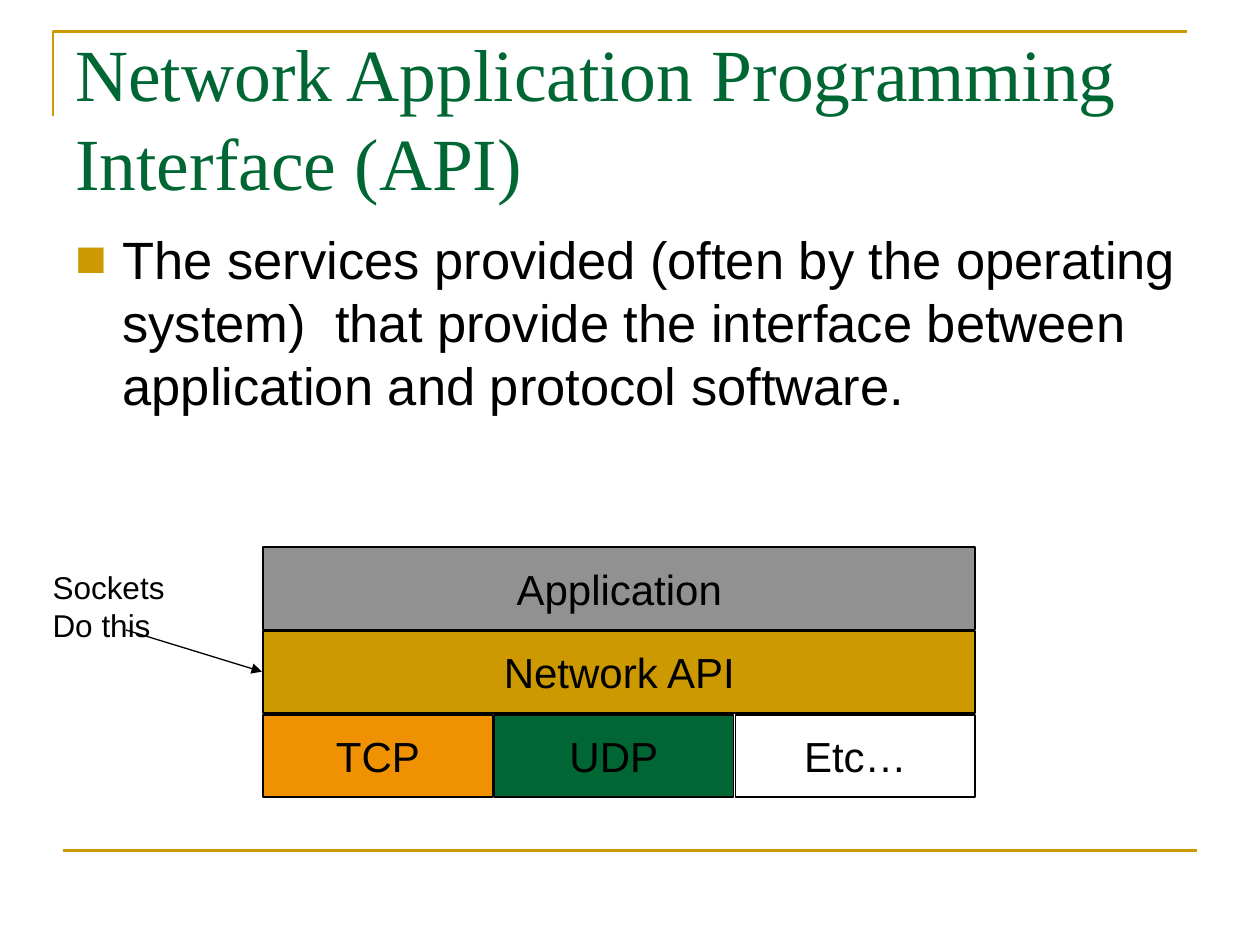
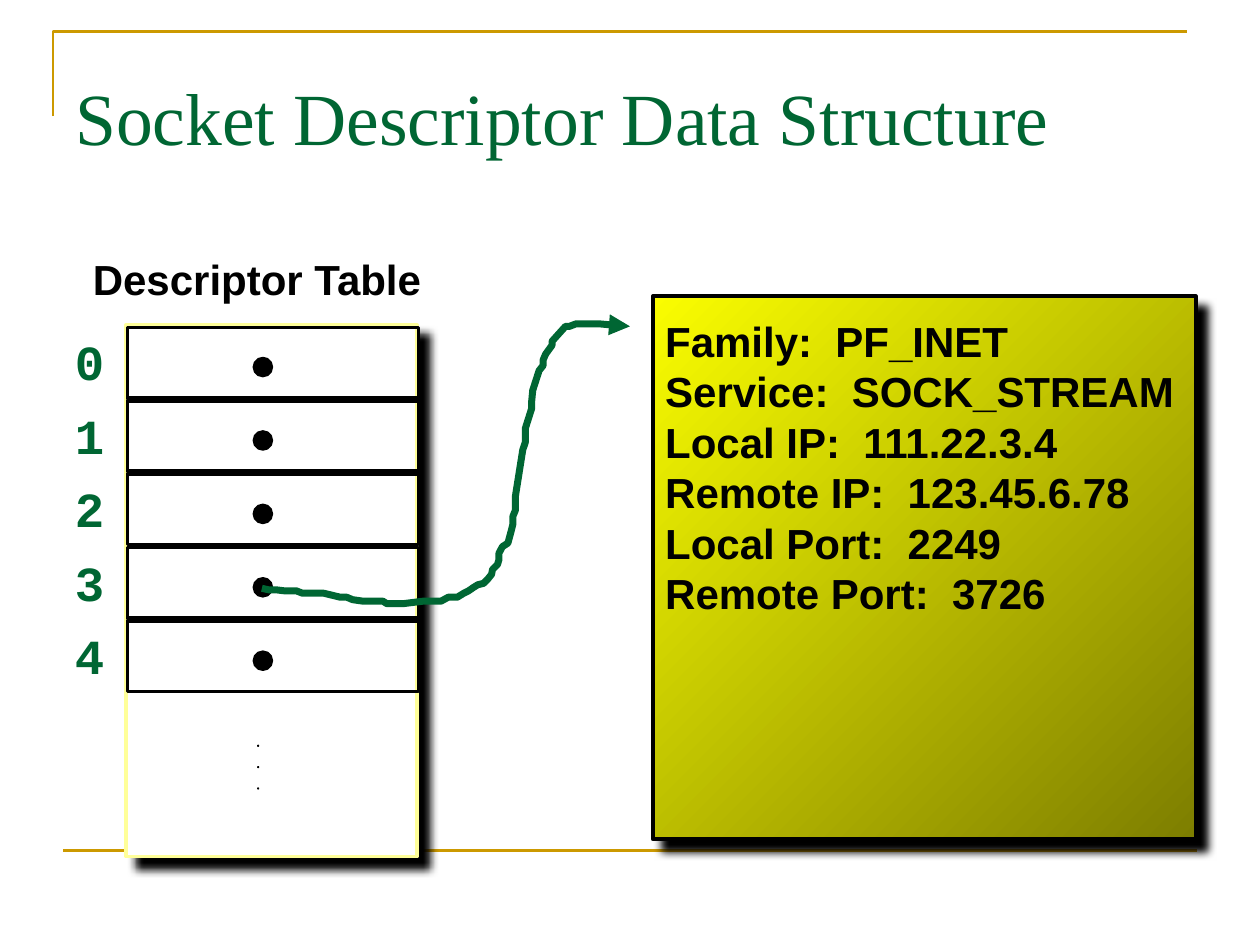
from dataclasses import dataclass

from lxml import etree
from pptx import Presentation
from pptx.dml.color import RGBColor
from pptx.enum.shapes import MSO_CONNECTOR, MSO_SHAPE
from pptx.enum.text import MSO_ANCHOR, PP_ALIGN
from pptx.oxml.ns import qn
from pptx.util import Cm, Pt

RECTANGLE, ELLIPSE = MSO_SHAPE.RECTANGLE, MSO_SHAPE.OVAL
STRAIGHT = MSO_CONNECTOR.STRAIGHT
TOP, MIDDLE = MSO_ANCHOR.TOP, MSO_ANCHOR.MIDDLE
LEFT, CENTER = PP_ALIGN.LEFT, PP_ALIGN.CENTER

BLACK, WHITE = "000000", "FFFFFF"
GREEN, GOLD = "006633", "CC9900"
GRAY, ORANGE, PALE_YELLOW = "919191", "EF9100", "FFFF99"
YELLOW, OLIVE = "FAFD00", "7D7E00"
SANS, SERIF, MONO = "Arial", "Times New Roman", "Courier New"

SLOT_TOP, SLOT_PITCH, SLOT_HEIGHT = 6.6, 1.48, 1.42
DOT_SIZE = 0.38

SOCKET_FIELDS = [
    "Family:  PF_INET",
    "Service:  SOCK_STREAM",
    "Local IP:  111.22.3.4",
    "Remote IP:  123.45.6.78",
    "Local Port:  2249",
    "Remote Port:  3726",
]

POINTER_CURVE = [
    (5.28, 11.86), (5.41, 11.89), (5.56, 11.89), (5.72, 11.91), (5.97, 11.91),
    (6.1, 11.96), (6.53, 11.96), (6.86, 12.04), (6.99, 12.04), (7.11, 12.09),
    (7.32, 12.12), (7.72, 12.12), (7.8, 12.17), (8.13, 12.17), (8.53, 12.12),
    (8.89, 12.12), (9.04, 12.04), (9.22, 12.04), (9.35, 11.96), (9.45, 11.91),
    (9.55, 11.84), (9.63, 11.79), (9.75, 11.76), (9.83, 11.68), (9.91, 11.58),
    (9.93, 11.48), (10.03, 11.38), (10.06, 11.28), (10.06, 11.15),
    (10.13, 11.02), (10.24, 10.95), (10.31, 10.69), (10.34, 10.57),
    (10.34, 10.41), (10.39, 10.29), (10.39, 10.01), (10.54, 9.07),
    (10.59, 8.92), (10.59, 8.64), (10.72, 8.23), (10.72, 8.08), (10.74, 7.87),
    (10.87, 7.47), (10.95, 7.37), (10.95, 7.26), (11, 7.14), (11.13, 6.96),
    (11.13, 6.88), (11.4, 6.58), (11.48, 6.58), (11.61, 6.53), (12.09, 6.53),
    (12.62, 6.58), (12.7, 6.58),
]


@dataclass
class Area:
    left: float
    top: float
    width: float
    height: float

    def lengths(self):
        return Cm(self.left), Cm(self.top), Cm(self.width), Cm(self.height)


@dataclass
class Layer:
    label: str
    area: Area
    color: str


LAYERS = [
    Layer("Application", Area(5.31, 11.03, 14.35, 1.66), GRAY),
    Layer("Network API", Area(5.31, 12.72, 14.35, 1.66), GOLD),
    Layer("TCP", Area(5.31, 14.41, 4.62, 1.66), ORANGE),
    Layer("UDP", Area(9.96, 14.41, 4.83, 1.66), GREEN),
    Layer("Etc…", Area(14.83, 14.41, 4.83, 1.66), WHITE),
]


def rgb(color: str) -> RGBColor:
    return RGBColor.from_string(color)


def write_text(box, text: str, size=24, font=SANS, color=BLACK, bold=False,
               align=LEFT, anchor=MIDDLE):
    frame = box.text_frame
    frame.word_wrap = True
    frame.vertical_anchor = anchor
    for index, line in enumerate(text.split("\n")):
        para = frame.paragraphs[0] if index == 0 else frame.add_paragraph()
        para.alignment = align
        span = para.add_run()
        span.text = line
        span.font.size = Pt(size)
        span.font.name = font
        span.font.bold = bold
        span.font.color.rgb = rgb(color)
    return frame


def add_text(page, area: Area, text: str, **text_format):
    box = page.shapes.add_textbox(*area.lengths())
    return write_text(box, text, **text_format)


def style_line(item, color: str, width: float) -> None:
    item.line.color.rgb = rgb(color)
    item.line.width = Pt(width)


def add_box(page, kind, area: Area, fill=None, line=BLACK, width=1.0):
    box = page.shapes.add_shape(kind, *area.lengths())
    box.shadow.inherit = False
    if fill:
        box.fill.solid()
        box.fill.fore_color.rgb = rgb(fill)
    else:
        box.fill.background()
    style_line(box, line, width)
    return box


def add_line(page, start, end, color: str, width: float):
    line = page.shapes.add_connector(STRAIGHT, *map(Cm, start + end))
    style_line(line, color, width)
    etree.SubElement(line._element.spPr, qn("a:effectLst"))
    return line


def add_path(page, points, color: str, width: float):
    corners = [(Cm(x), Cm(y)) for x, y in points]
    builder = page.shapes.build_freeform(*corners[0])
    builder.add_line_segments(corners[1:], close=False)
    outline = builder.convert_to_shape()
    outline.shadow.inherit = False
    outline.fill.background()
    style_line(outline, color, width)
    return outline


def add_arrowhead(item) -> None:
    line = item._element.spPr.find(qn("a:ln"))
    etree.SubElement(line, qn("a:tailEnd"), type="triangle")


def add_drop_shadow(box) -> None:
    effects = box._element.spPr.find(qn("a:effectLst"))
    shadow = etree.SubElement(
        effects, qn("a:outerShdw"), blurRad=str(Pt(5)), dist=str(Pt(8.5)),
        dir="2700000", algn="ctr", rotWithShape="0")
    etree.SubElement(shadow, qn("a:srgbClr"), val=BLACK)


def add_bullet(para) -> None:
    properties = para._p.get_or_add_pPr()
    properties.set("marL", str(Cm(0.95)))
    properties.set("indent", str(Cm(-0.95)))
    color = etree.SubElement(properties, qn("a:buClr"))
    etree.SubElement(color, qn("a:srgbClr"), val=GOLD)
    etree.SubElement(properties, qn("a:buFont"), typeface=SANS)
    etree.SubElement(properties, qn("a:buChar"), char="■")


def add_page(deck, title: str):
    page = deck.slides.add_slide(deck.slide_layouts[6])
    add_path(page, [(1.07, 2.34), (1.07, 0.64), (23.93, 0.64)], GOLD, 1.5)
    add_line(page, (1.27, 17.15), (24.13, 17.15), GOLD, 1.5)
    add_text(page, Area(1.27, 0.76, 22.86, 3.18), title,
             size=42, font=SERIF, color=GREEN)
    return page


def build_api_page(deck) -> None:
    page = add_page(deck, "Network Application Programming Interface (API)")
    body = add_text(
        page, Area(1.27, 4.45, 22.86, 5.13),
        "The services provided (often by the operating system)  that provide "
        "the interface between application and protocol software.",
        size=30, anchor=TOP)
    add_bullet(body.paragraphs[0])
    for layer in LAYERS:
        box = add_box(page, RECTANGLE, layer.area, layer.color)
        write_text(box, layer.label, align=CENTER)
    arrow = add_line(page, (2.54, 12.7), (5.28, 13.54), BLACK, 0.75)
    add_arrowhead(arrow)
    add_text(page, Area(0.81, 11.33, 2.77, 1.78), "Sockets\nDo this",
             size=18, anchor=TOP)


def build_descriptor_page(deck) -> None:
    page = add_page(deck, "Socket Descriptor Data Structure")
    add_text(page, Area(1.27, 4.88, 7.82, 1.47), "Descriptor Table",
             bold=True, align=CENTER)
    table_back = add_box(page, RECTANGLE, Area(2.54, 6.55, 5.87, 10.72),
                         WHITE, PALE_YELLOW, 2)
    add_drop_shadow(table_back)

    for number in range(5):
        top = SLOT_TOP + number * SLOT_PITCH
        add_box(page, RECTANGLE, Area(2.57, top, 5.87, SLOT_HEIGHT), width=2)
        add_box(page, ELLIPSE, Area(5.11, top + 0.61, DOT_SIZE, DOT_SIZE), BLACK)
        add_text(page, Area(1.07, top - 0.05, 1.47, 1.47), str(number),
                 size=28, font=MONO, color=GREEN, bold=True, align=CENTER)

    for step in range(3):
        add_box(page, ELLIPSE, Area(5.2, 15.03 + step * 0.43, 0.01, 0.01), BLACK)

    details = add_box(page, RECTANGLE, Area(13.16, 5.97, 10.95, 10.95), width=2)
    details.fill.gradient()
    details.fill.gradient_angle = 315
    for stop, color in zip(details.fill.gradient_stops, (YELLOW, OLIVE)):
        stop.color.rgb = rgb(color)
    add_drop_shadow(details)
    frame = write_text(details, "\n".join(SOCKET_FIELDS), bold=True, anchor=TOP)
    frame.margin_top = Cm(0.39)

    pointer = add_path(page, POINTER_CURVE, GREEN, 4)
    add_arrowhead(pointer)


def main() -> None:
    deck = Presentation()
    deck.slide_width, deck.slide_height = Cm(25.4), Cm(19.05)
    build_api_page(deck)
    build_descriptor_page(deck)
    deck.save("out.pptx")


if __name__ == "__main__":
    main()
